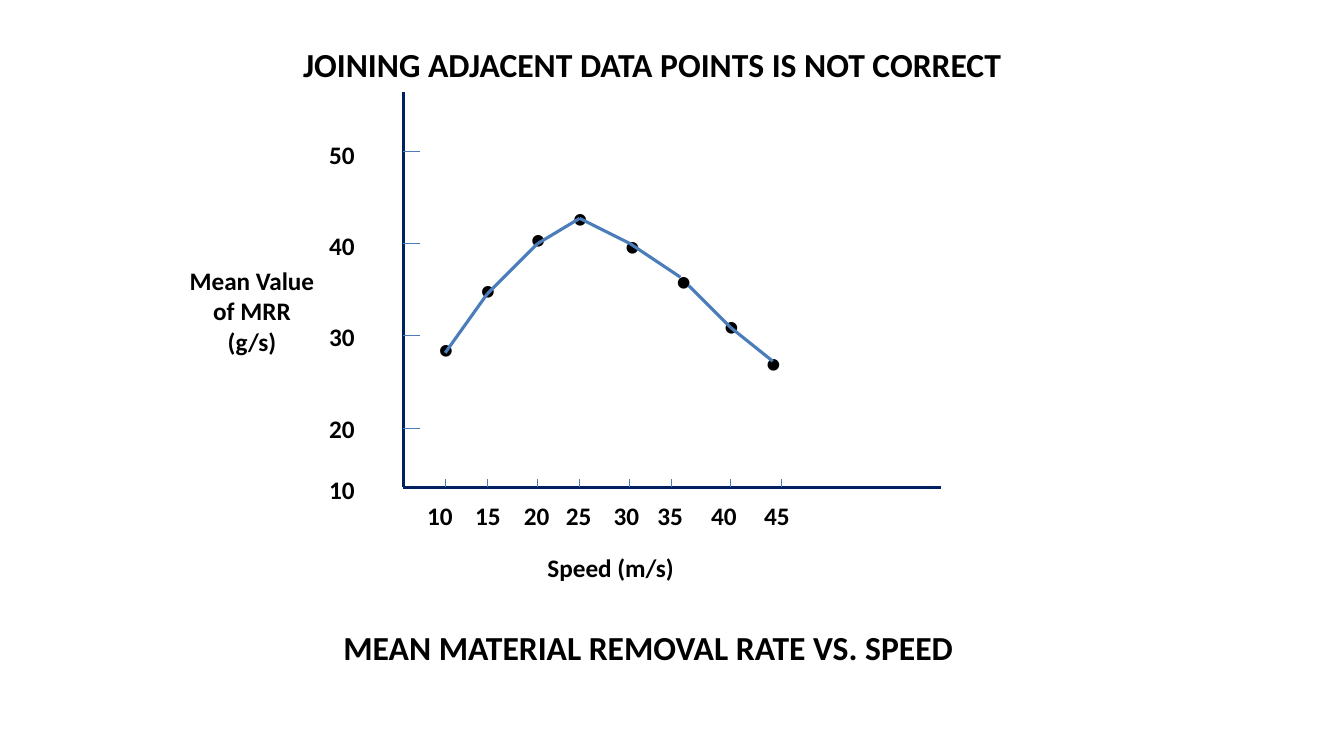
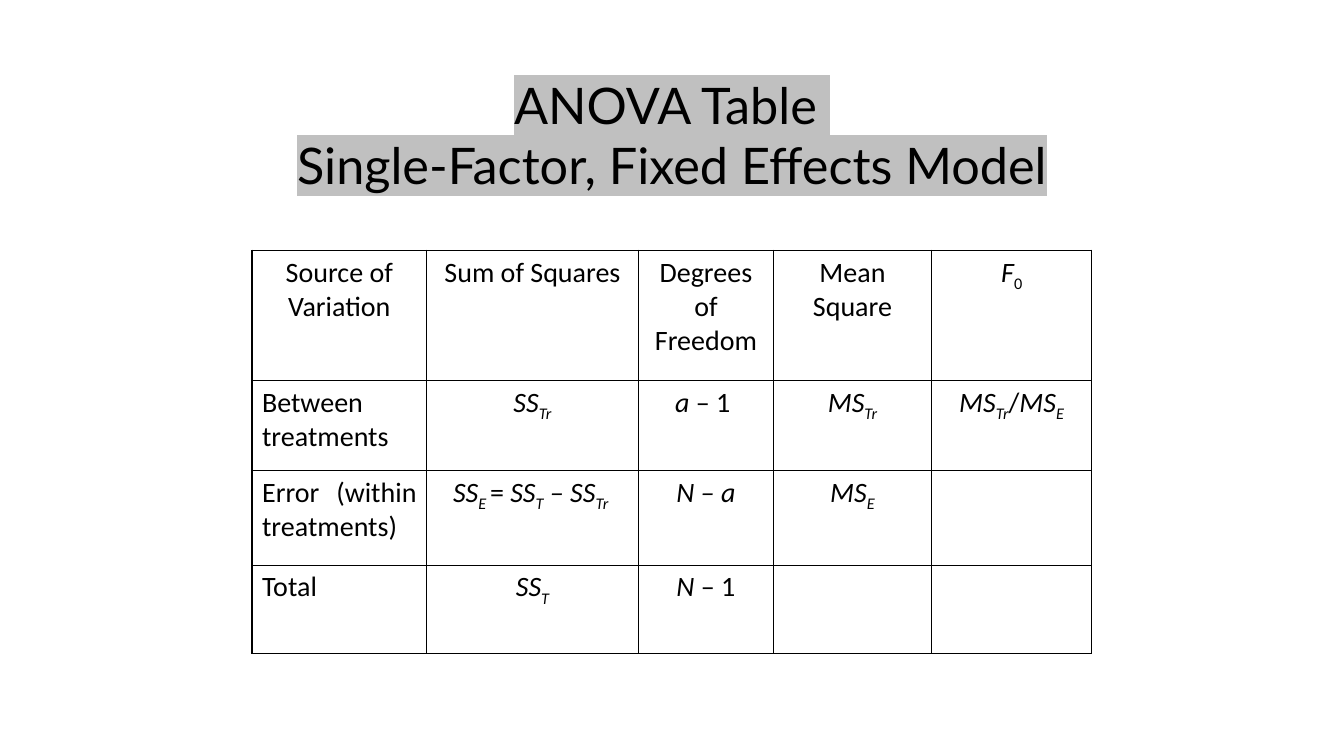
"""Build a plotted curve page and an ANOVA table page."""
import dataclasses
import itertools
from typing import Optional

import lxml.etree
import pptx
import pptx.dml.color
import pptx.enum.shapes
import pptx.enum.text
import pptx.oxml.ns
import pptx.slide
import pptx.table
import pptx.text.text
import pptx.util

COLORS = {"text": "000000", "axis": "002060", "curve": "4A7DBA", "highlight": "C0C0C0", "border": "000000"}
BODY_FONT, HEADING_FONT = "Calibri", "Lato"
GRID_COLUMNS, GRID_ROWS = 160, 90
SLIDE_WIDTH, SLIDE_HEIGHT = pptx.util.Inches(13.333), pptx.util.Inches(7.5)
LEFT, CENTER, JUSTIFY = (
    pptx.enum.text.PP_ALIGN.LEFT,
    pptx.enum.text.PP_ALIGN.CENTER,
    pptx.enum.text.PP_ALIGN.JUSTIFY,
)


@dataclasses.dataclass(frozen=True)
class Area:
    column: float
    row: float
    columns: float
    rows: float


@dataclasses.dataclass(frozen=True)
class Spot:
    column: float
    row: float


@dataclasses.dataclass(frozen=True)
class Style:
    size: float
    bold: bool = False
    font: str = BODY_FONT
    highlight: Optional[str] = None


@dataclasses.dataclass(frozen=True)
class Span:
    text: str
    italic: bool = False
    subscript: bool = False


@dataclasses.dataclass(frozen=True)
class Line:
    spans: tuple[Span, ...]
    align: pptx.enum.text.PP_ALIGN = LEFT
    space_before: float = 0


@dataclasses.dataclass(frozen=True)
class Label:
    area: Area
    text: str
    style: Style
    align: pptx.enum.text.PP_ALIGN = LEFT


CAPTION = Style(24, bold=True)
AXIS_TEXT = Style(18, bold=True)
MARKER = Style(18)
CELL_TEXT = Style(20)
HEADING = Style(36, font=HEADING_FONT, highlight=COLORS["highlight"])

ORIGIN = Spot(48, 58)
AXIS_ENDS = (Spot(48, 11), Spot(112, 58))
SPEED_TICKS = (53, 58, 64, 69, 75, 80, 87, 93)
RATE_TICKS = range(18, 52, 11)
SPEED_LABELS = {10: 52.4, 15: 58.1, 20: 63.9, 25: 68.9, 30: 74.6, 35: 79.8, 40: 86.2, 45: 92.5}
RATE_LABELS = {50: 0, 40: 43.5, 30: 43.5, 20: 43.5, 10: 22}
SPEED_LABEL_AREA = Area(49, 59, 49, 4.8)
RATE_LABEL_AREA = Area(38, 16, 8, 44.9)
MARKERS = (
    Spot(51, 39.1), Spot(56, 32.1), Spot(62, 26), Spot(67, 23.5),
    Spot(73.2, 26.8), Spot(79.3, 31), Spot(85, 36.4), Spot(90, 40.7),
)
CURVE_PARTS = (
    (Spot(53, 42), Spot(58, 35), Spot(64, 29), Spot(69, 26), Spot(75, 29), Spot(81, 33)),
    (Spot(82, 34), Spot(87, 39), Spot(92, 43)),
)
PLOT_LABELS = (
    Label(Area(64, 65.2, 19, 4.8), "Speed (m/s)", AXIS_TEXT),
    Label(Area(21, 31, 18, 12.1), "Mean Value of MRR (g/s)", AXIS_TEXT, CENTER),
    Label(Area(34.9, 4.6, 90.1, 6), "JOINING ADJACENT DATA POINTS IS NOT CORRECT", CAPTION),
    Label(Area(39.7, 74, 80.6, 6), "MEAN MATERIAL REMOVAL RATE VS. SPEED", CAPTION),
)

HEADING_AREA = Area(20, 8.2, 120, 15)
HEADING_LINES = ("ANOVA Table ", "Single-Factor, Fixed Effects Model")
TABLE_SPOT = Spot(30, 29.8)
TABLE_COLUMNS = (20.8, 25.2, 16.1, 18.8, 19.1)
TABLE_ROWS = (15.5, 10.7, 11.3, 10.5)


def plain(text: str) -> Span:
    return Span(text)


def slanted(text: str) -> Span:
    return Span(text, italic=True)


def below(text: str) -> Span:
    return Span(text, italic=True, subscript=True)


TABLE_CELLS = (
    (
        (plain("Source of Variation"),),
        (plain("Sum of Squares"),),
        (plain("Degrees of Freedom"),),
        (plain("Mean Square"),),
        (slanted("F"), Span("0", subscript=True)),
    ),
    (
        (plain("Between treatments"),),
        (slanted("SS"), below("Tr")),
        (slanted("a"), plain(" – 1 ")),
        (slanted("MS"), below("Tr")),
        (slanted("MS"), below("Tr"), plain("/"), slanted("MS"), below("E")),
    ),
    (
        (plain("Error (within treatments)"),),
        (slanted("SS"), below("E "), plain("= "), slanted("SS"), below("T"), slanted(" – SS"), below("Tr ")),
        (slanted("N – a"),),
        (slanted("MS"), below("E")),
        (),
    ),
    (
        (plain("Total"),),
        (slanted("SS"), below("T")),
        (slanted("N"), plain(" – 1")),
        (),
        (),
    ),
)


def across(columns: float) -> int:
    return round(SLIDE_WIDTH * columns / GRID_COLUMNS)


def down(rows: float) -> int:
    return round(SLIDE_HEIGHT * rows / GRID_ROWS)


def color(value: str) -> pptx.dml.color.RGBColor:
    return pptx.dml.color.RGBColor.from_string(value)


def add_element(parent: lxml.etree._Element, tag: str, **attributes: str) -> lxml.etree._Element:
    return lxml.etree.SubElement(parent, pptx.oxml.ns.qn(tag), attributes)


def add_span(para: pptx.text.text._Paragraph, span: Span, style: Style) -> None:
    run = para.add_run()
    run.text = span.text
    run.font.size = pptx.util.Pt(style.size)
    run.font.bold = style.bold
    run.font.italic = span.italic
    run.font.color.rgb = color(COLORS["text"])
    properties = run._r.get_or_add_rPr()
    if span.subscript:
        properties.set("baseline", "-25000")
    if style.highlight:
        add_element(add_element(properties, "a:highlight"), "a:srgbClr", val=style.highlight)
    run.font.name = style.font


def fill_text(frame: pptx.text.text.TextFrame, lines: tuple[Line, ...], style: Style) -> None:
    for index, line in enumerate(lines):
        para = frame.add_paragraph() if index else frame.paragraphs[0]
        para.alignment = line.align
        if line.space_before:
            para.space_before = pptx.util.Pt(line.space_before)
        for span in line.spans:
            add_span(para, span, style)


def add_text(
    page: pptx.slide.Slide, area: Area, lines: tuple[Line, ...], style: Style
) -> pptx.text.text.TextFrame:
    box = page.shapes.add_textbox(across(area.column), down(area.row), across(area.columns), down(area.rows))
    frame = box.text_frame
    frame.word_wrap = True
    fill_text(frame, lines, style)
    return frame


def add_line(page: pptx.slide.Slide, start: Spot, end: Spot, hue: str, weight: float) -> None:
    connector = page.shapes.add_connector(
        pptx.enum.shapes.MSO_CONNECTOR.STRAIGHT,
        across(start.column), down(start.row), across(end.column), down(end.row),
    )
    connector.line.color.rgb = color(hue)
    connector.line.width = pptx.util.Pt(weight)
    add_element(connector._element.spPr, "a:effectLst")


def add_axes(page: pptx.slide.Slide) -> None:
    for end in AXIS_ENDS:
        add_line(page, ORIGIN, end, COLORS["axis"], 2.25)
    for column in SPEED_TICKS:
        add_line(page, Spot(column, ORIGIN.row), Spot(column, ORIGIN.row - 1), COLORS["curve"], 0.75)
    for row in RATE_TICKS:
        add_line(page, Spot(ORIGIN.column, row), Spot(ORIGIN.column + 2, row), COLORS["curve"], 0.75)


def add_axis_labels(page: pptx.slide.Slide) -> None:
    speeds = "".join(f"\t{speed}" for speed in SPEED_LABELS)
    frame = add_text(page, SPEED_LABEL_AREA, (Line((plain(speeds),)),), AXIS_TEXT)
    tabs = add_element(frame.paragraphs[0]._p.get_or_add_pPr(), "a:tabLst")
    text_left = across(SPEED_LABEL_AREA.column) + frame.margin_left
    for column in SPEED_LABELS.values():
        add_element(tabs, "a:tab", pos=str(across(column) - text_left), algn="ctr")
    rates = tuple(Line((plain(str(rate)),), space_before=gap) for rate, gap in RATE_LABELS.items())
    add_text(page, RATE_LABEL_AREA, rates, AXIS_TEXT)


def build_plot(page: pptx.slide.Slide) -> None:
    add_axes(page)
    for spot in MARKERS:
        add_text(page, Area(spot.column, spot.row, 4, 4.8), (Line((plain("●"),)),), MARKER)
    for part in CURVE_PARTS:
        for start, end in itertools.pairwise(part):
            add_line(page, start, end, COLORS["curve"], 2.25)
    add_axis_labels(page)
    for label in PLOT_LABELS:
        add_text(page, label.area, (Line((plain(label.text),), label.align),), label.style)


def style_cell(cell: pptx.table._Cell) -> None:
    properties = cell._tc.get_or_add_tcPr()
    for side in ("a:lnL", "a:lnR", "a:lnT", "a:lnB"):
        border = add_element(properties, side, w=str(pptx.util.Pt(1)))
        add_element(add_element(border, "a:solidFill"), "a:srgbClr", val=COLORS["border"])
    cell.fill.background()


def build_anova(page: pptx.slide.Slide) -> None:
    table = page.shapes.add_table(
        len(TABLE_ROWS), len(TABLE_COLUMNS),
        across(TABLE_SPOT.column), down(TABLE_SPOT.row),
        across(sum(TABLE_COLUMNS)), down(sum(TABLE_ROWS)),
    ).table
    table.first_row = table.horz_banding = False
    for column, width in zip(table.columns, TABLE_COLUMNS):
        column.width = across(width)
    for row, height in zip(table.rows, TABLE_ROWS):
        row.height = down(height)
    for row_index, row_spans in enumerate(TABLE_CELLS):
        for column_index, spans in enumerate(row_spans):
            cell = table.cell(row_index, column_index)
            align = JUSTIFY if row_index and not column_index else CENTER
            fill_text(cell.text_frame, (Line(spans, align),), CELL_TEXT)
            style_cell(cell)
    add_text(page, HEADING_AREA, tuple(Line((plain(text),), CENTER) for text in HEADING_LINES), HEADING)


def main() -> None:
    deck = pptx.Presentation()
    deck.slide_width, deck.slide_height = SLIDE_WIDTH, SLIDE_HEIGHT
    for build in (build_plot, build_anova):
        build(deck.slides.add_slide(deck.slide_layouts[6]))
    deck.save("out.pptx")


if __name__ == "__main__":
    main()
